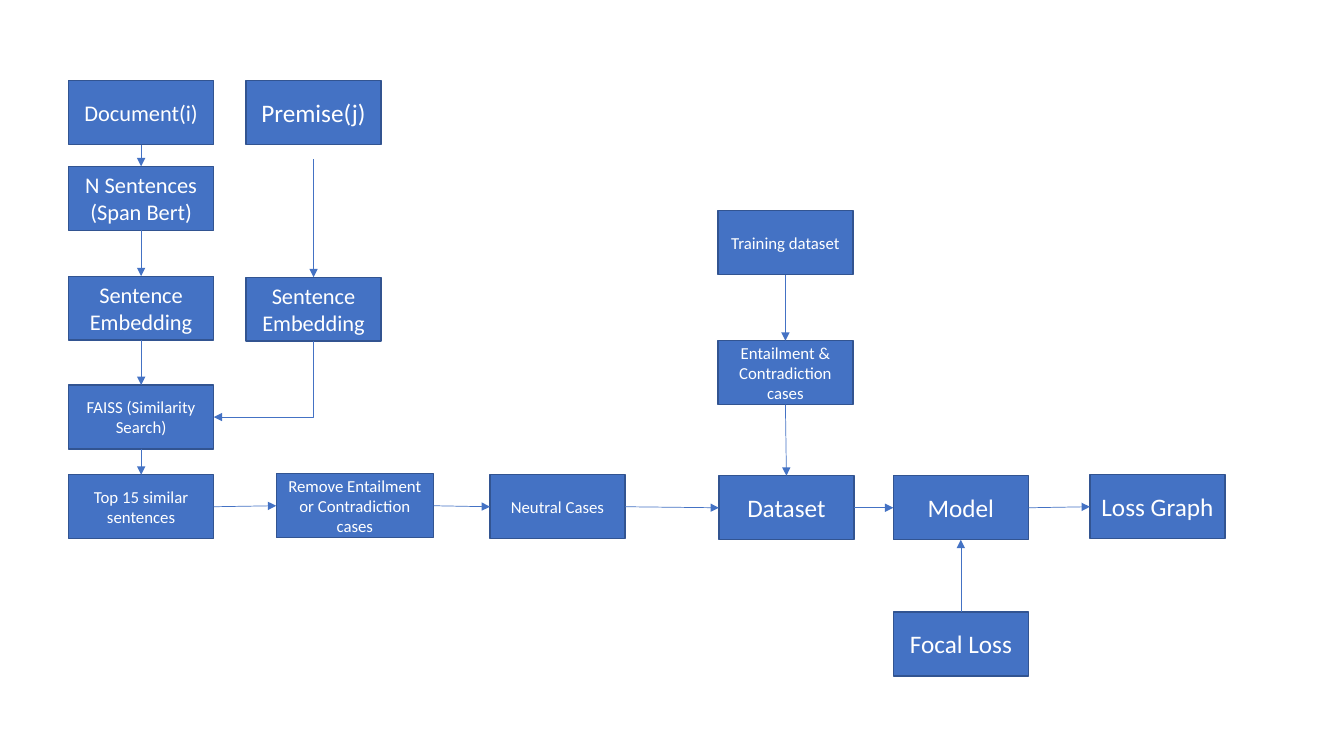
from dataclasses import dataclass

from lxml import etree
from pptx import Presentation
from pptx.dml.color import RGBColor
from pptx.enum import shapes as sh, text as tx
from pptx.oxml import ns
from pptx.util import Inches, Pt


@dataclass(frozen=True)
class Theme:
    font: str = "Calibri"
    fill: RGBColor = RGBColor(0x44, 0x72, 0xC4)
    edge: RGBColor = RGBColor(0x32, 0x54, 0x91)
    ink: RGBColor = RGBColor(0xFF, 0xFF, 0xFF)
    small: int = 12
    mid: int = 16
    large: int = 18
    rim: float = 1
    wire: float = 0.5


THEME = Theme()
HEIGHT = 0.635
WIDE, SLIM, BROAD = 1.44, 1.34, 1.56
TOP, LEFT, BOTTOM, RIGHT = range(4)

BOXES = {
    "doc": ("Document(i)", 0.68, 0.8, WIDE, THEME.mid),
    "split": ("N Sentences (Span Bert)", 0.68, 1.65, WIDE, THEME.mid),
    "embed": ("Sentence Embedding", 0.68, 2.74, WIDE, THEME.mid),
    "search": ("FAISS (Similarity Search)", 0.68, 3.82, WIDE, THEME.small),
    "top": ("Top 15 similar sentences", 0.68, 4.71, WIDE, THEME.small),
    "premise": ("Premise(j)", 2.44, 0.8, SLIM, THEME.large),
    "vector": ("Sentence Embedding", 2.44, 2.75, SLIM, THEME.mid),
    "remove": ("Remove Entailment or Contradiction cases",
               2.74, 4.7, BROAD, THEME.small),
    "neutral": ("Neutral Cases", 4.86, 4.71, SLIM, THEME.small),
    "train": ("Training dataset", 7.12, 2.09, SLIM, THEME.small),
    "cases": ("Entailment & Contradiction cases",
              7.12, 3.38, SLIM, THEME.small),
    "data": ("Dataset", 7.13, 4.72, SLIM, THEME.large),
    "model": ("Model", 8.86, 4.72, SLIM, THEME.large),
    "focal": ("Focal Loss", 8.86, 6.07, SLIM, THEME.large),
    "graph": ("Loss Graph", 10.81, 4.71, SLIM, THEME.large),
}
DOWN = [
    ("doc", "split", "embed", "search", "top"),
    ("train", "cases", "data"),
]
ACROSS = ("top", "remove", "neutral", "data", "model", "graph")


def add_box(slide, label, left, top, width, size):
    box = slide.shapes.add_shape(
        sh.MSO_SHAPE.RECTANGLE,
        Inches(left), Inches(top), Inches(width), Inches(HEIGHT))
    box.shadow.inherit = False
    box.fill.solid()
    box.fill.fore_color.rgb = THEME.fill
    box.line.color.rgb = THEME.edge
    box.line.width = Pt(THEME.rim)
    frame = box.text_frame
    frame.word_wrap = True
    frame.vertical_anchor = tx.MSO_ANCHOR.MIDDLE
    frame.text = label
    para = frame.paragraphs[0]
    para.alignment = tx.PP_ALIGN.CENTER
    para.font.name = THEME.font
    para.font.size = Pt(size)
    para.font.color.rgb = THEME.ink
    return box


def add_arrow(slide, start=(0, 0), end=(0, 0), kind=sh.MSO_CONNECTOR.STRAIGHT):
    ends = [Inches(n) for n in (*start, *end)]
    arrow = slide.shapes.add_connector(kind, *ends)
    arrow.line.color.rgb = THEME.fill
    arrow.line.width = Pt(THEME.wire)
    tail = etree.SubElement(arrow.line._get_or_add_ln(), ns.qn("a:tailEnd"))
    tail.set("type", "triangle")
    etree.SubElement(arrow._element.spPr, ns.qn("a:effectLst"))
    return arrow


def link(slide, first, out, last, into, kind=sh.MSO_CONNECTOR.STRAIGHT):
    arrow = add_arrow(slide, kind=kind)
    arrow.begin_connect(first, out)
    arrow.end_connect(last, into)
    return arrow


def add_bend(slide, first, last):
    bend = link(slide, first, BOTTOM, last, RIGHT, sh.MSO_CONNECTOR.ELBOW)
    wide, high = bend.width, bend.height
    shift = (wide - high) // 2
    bend.left, bend.top = bend.left + shift, bend.top - shift
    bend.width, bend.height = high, wide
    props = bend._element.spPr
    frame = props.find(ns.qn("a:xfrm"))
    frame.attrib.pop("flipH", None)
    frame.set("rot", "5400000")
    props.find(ns.qn("a:prstGeom")).set("prst", "bentConnector2")


def add_chain(slide, chain, out, into):
    for first, last in zip(chain, chain[1:]):
        link(slide, first, out, last, into)


def main():
    deck = Presentation()
    deck.slide_width, deck.slide_height = Inches(13.33), Inches(7.5)
    slide = deck.slides.add_slide(deck.slide_layouts[6])
    box = {key: add_box(slide, *row) for key, row in BOXES.items()}
    for names in DOWN:
        add_chain(slide, [box[n] for n in names], BOTTOM, TOP)
    add_chain(slide, [box[n] for n in ACROSS], RIGHT, LEFT)
    link(slide, box["focal"], TOP, box["model"], BOTTOM)
    add_arrow(slide, (3.11, 1.58), (3.11, 2.75)).end_connect(
        box["vector"], TOP)
    add_bend(slide, box["vector"], box["search"])
    deck.save("out.pptx")


if __name__ == "__main__":
    main()
